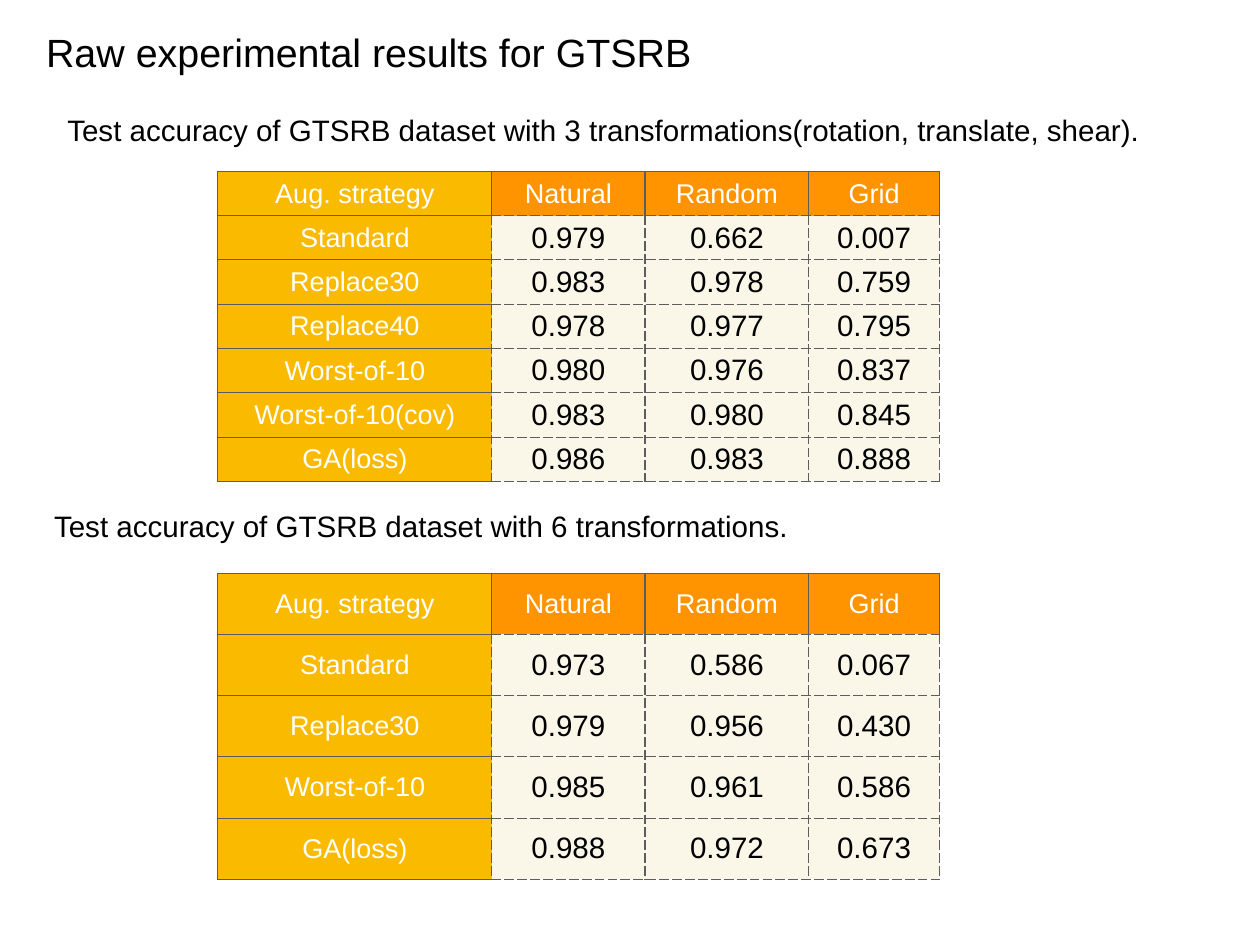
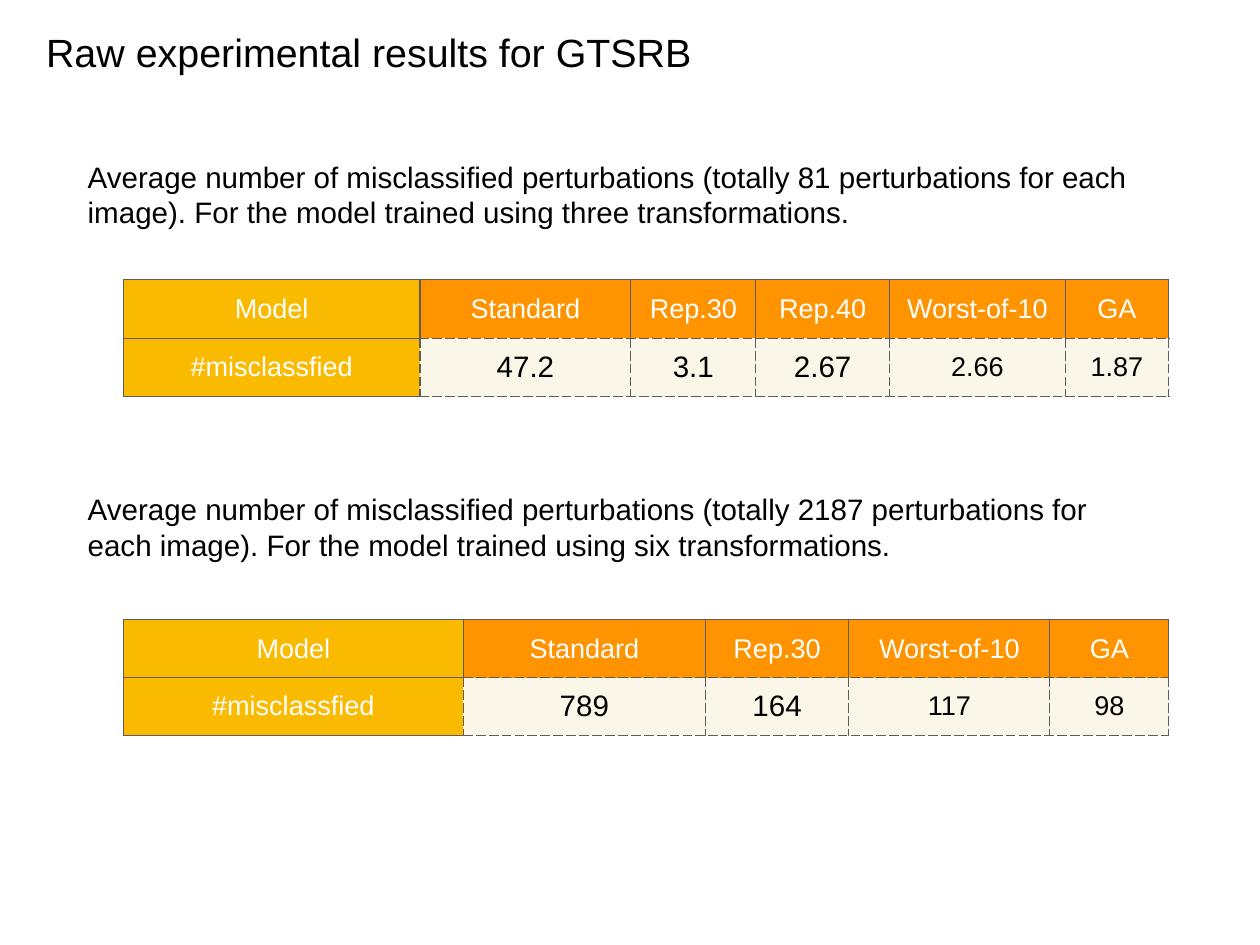
from dataclasses import dataclass

from lxml.etree import SubElement as Sub
from pptx import Presentation
from pptx.dml.color import RGBColor as Rgb
from pptx.enum.text import MSO_ANCHOR as Anchor, PP_ALIGN as Align
from pptx.oxml.ns import qn
from pptx.slide import Slide
from pptx.util import Inches, Pt


# Shared look
@dataclass(frozen=True)
class Theme:
    font: str = "Arial"
    ink: str = "000000"
    white: str = "FFFFFF"
    head: str = "FF9400"
    label: str = "F9BA00"
    body: str = "FAF7E9"
    rule: str = "5D5D5D"
    title: int = 32
    text: int = 24
    small: int = 22
    inset: float = 0.06


@dataclass(frozen=True)
class Box:
    left: float
    top: float
    width: float
    height: float

    def emu(self) -> list:
        return [Inches(n) for n in (self.left, self.top, self.width, self.height)]


@dataclass(frozen=True)
class Note:
    text: str
    box: Box
    wrap: bool = True


@dataclass(frozen=True)
class Grid:
    box: Box
    cols: tuple
    rows: tuple
    minor: tuple = ()  # columns whose values use the small size


@dataclass(frozen=True)
class Page:
    notes: tuple
    grids: tuple


THEME = Theme()
TITLE = "Raw experimental results for GTSRB"
TITLE_BOX = Box(0.46, 0.19, 12.14, 0.78)


# Drawing functions
def write(frame, text: str, *, size: int = THEME.text, color: str = THEME.ink,
          align=Align.LEFT) -> None:
    frame.text = text
    para = frame.paragraphs[0]
    para.alignment = align
    font = para.runs[0].font
    font.name, font.size = THEME.font, Pt(size)
    font.color.rgb = Rgb.from_string(color)


def fit(frame, wrap: bool = True) -> None:
    frame.word_wrap = wrap
    frame.vertical_anchor = Anchor.MIDDLE
    frame.margin_left = frame.margin_right = Inches(THEME.inset)
    frame.margin_top = frame.margin_bottom = Inches(THEME.inset)


def add_title(slide: Slide) -> None:
    title = slide.shapes.title
    title.left, title.top, title.width, title.height = TITLE_BOX.emu()
    fit(title.text_frame)
    write(title.text_frame, TITLE, size=THEME.title)


def add_note(slide: Slide, note: Note) -> None:
    frame = slide.shapes.add_textbox(*note.box.emu()).text_frame
    fit(frame, note.wrap)
    write(frame, note.text)


def edge(cell, side: str, dashed: bool) -> None:
    line = Sub(cell._tc.get_or_add_tcPr(), qn(f"a:ln{side}"), w=str(Pt(1)))
    fill = Sub(line, qn("a:solidFill"))
    Sub(fill, qn("a:srgbClr"), val=THEME.rule)
    Sub(line, qn("a:prstDash"), val="dash" if dashed else "solid")


def add_grid(slide: Slide, grid: Grid) -> None:
    count = len(grid.rows)
    table = slide.shapes.add_table(count, len(grid.cols), *grid.box.emu()).table
    table.first_row = table.horz_banding = False
    for col, width in zip(table.columns, grid.cols):
        col.width = Inches(width)
    for row in table.rows:
        row.height = Inches(grid.box.height / count)

    for r, row in enumerate(grid.rows):
        for c, text in enumerate(row):
            cell = table.cell(r, c)
            value = r > 0 and c > 0
            # Every edge that touches a value is dashed
            edge(cell, "L", value)
            edge(cell, "R", r > 0)
            edge(cell, "T", value)
            edge(cell, "B", c > 0)
            fill = THEME.body if value else THEME.head if c else THEME.label
            cell.fill.solid()
            cell.fill.fore_color.rgb = Rgb.from_string(fill)
            cell.vertical_anchor = Anchor.MIDDLE
            cell.margin_left = cell.margin_right = Inches(THEME.inset)
            cell.margin_top = cell.margin_bottom = Inches(0.05)
            large = value and c not in grid.minor
            write(cell.text_frame, text, align=Align.CENTER,
                  size=THEME.text if large else THEME.small,
                  color=THEME.ink if value else THEME.white)


# Content
SCORE_COLS = (3.09, 1.73, 1.85, 1.47)
SCORE_HEAD = ("Aug. strategy", "Natural", "Random", "Grid")


def mean_note(total: int, kind: str, top: float) -> Note:
    text = (f"Average number of misclassified perturbations (totally {total} "
            "perturbations for each image). For the model trained using "
            f"{kind} transformations.")
    return Note(text, Box(0.93, top, 12.14, 0.91))


SCORES = Page(
    notes=(
        Note("Test accuracy of GTSRB dataset with 3 transformations"
             "(rotation, translate, shear).", Box(0.7, 1.21, 12.27, 0.5), False),
        Note("Test accuracy of GTSRB dataset with 6 transformations.",
             Box(0.55, 5.69, 8.48, 0.5), False),
    ),
    grids=(
        Grid(Box(2.46, 1.94, 8.14, 3.46), SCORE_COLS, (
            SCORE_HEAD,
            ("Standard", "0.979", "0.662", "0.007"),
            ("Replace30", "0.983", "0.978", "0.759"),
            ("Replace40", "0.978", "0.977", "0.795"),
            ("Worst-of-10", "0.980", "0.976", "0.837"),
            ("Worst-of-10(cov)", "0.983", "0.980", "0.845"),
            ("GA(loss)", "0.986", "0.983", "0.888"),
        )),
        Grid(Box(2.46, 6.47, 8.14, 3.46), SCORE_COLS, (
            SCORE_HEAD,
            ("Standard", "0.973", "0.586", "0.067"),
            ("Replace30", "0.979", "0.956", "0.430"),
            ("Worst-of-10", "0.985", "0.961", "0.586"),
            ("GA(loss)", "0.988", "0.972", "0.673"),
        )),
    ),
)

ERRORS = Page(
    notes=(mean_note(81, "three", 1.74), mean_note(2187, "six", 5.49)),
    grids=(
        Grid(Box(1.39, 3.16, 11.8, 1.32), (3.35, 2.38, 1.41, 1.51, 1.98, 1.17), (
            ("Model", "Standard", "Rep.30", "Rep.40", "Worst-of-10", "GA"),
            ("#misclassfied", "47.2", "3.1", "2.67", "2.66", "1.87"),
        ), minor=(4, 5)),
        Grid(Box(1.39, 7, 11.8, 1.3), (3.84, 2.73, 1.62, 2.27, 1.34), (
            ("Model", "Standard", "Rep.30", "Worst-of-10", "GA"),
            ("#misclassfied", "789", "164", "117", "98"),
        ), minor=(3, 4)),
    ),
)


def main() -> None:
    deck = Presentation()
    deck.slide_width, deck.slide_height = Inches(14.22), Inches(10.67)
    for page in (SCORES, ERRORS):
        slide = deck.slides.add_slide(deck.slide_layouts[5])
        add_title(slide)
        for note in page.notes:
            add_note(slide, note)
        for grid in page.grids:
            add_grid(slide, grid)
    deck.save("out.pptx")


if __name__ == "__main__":
    main()
